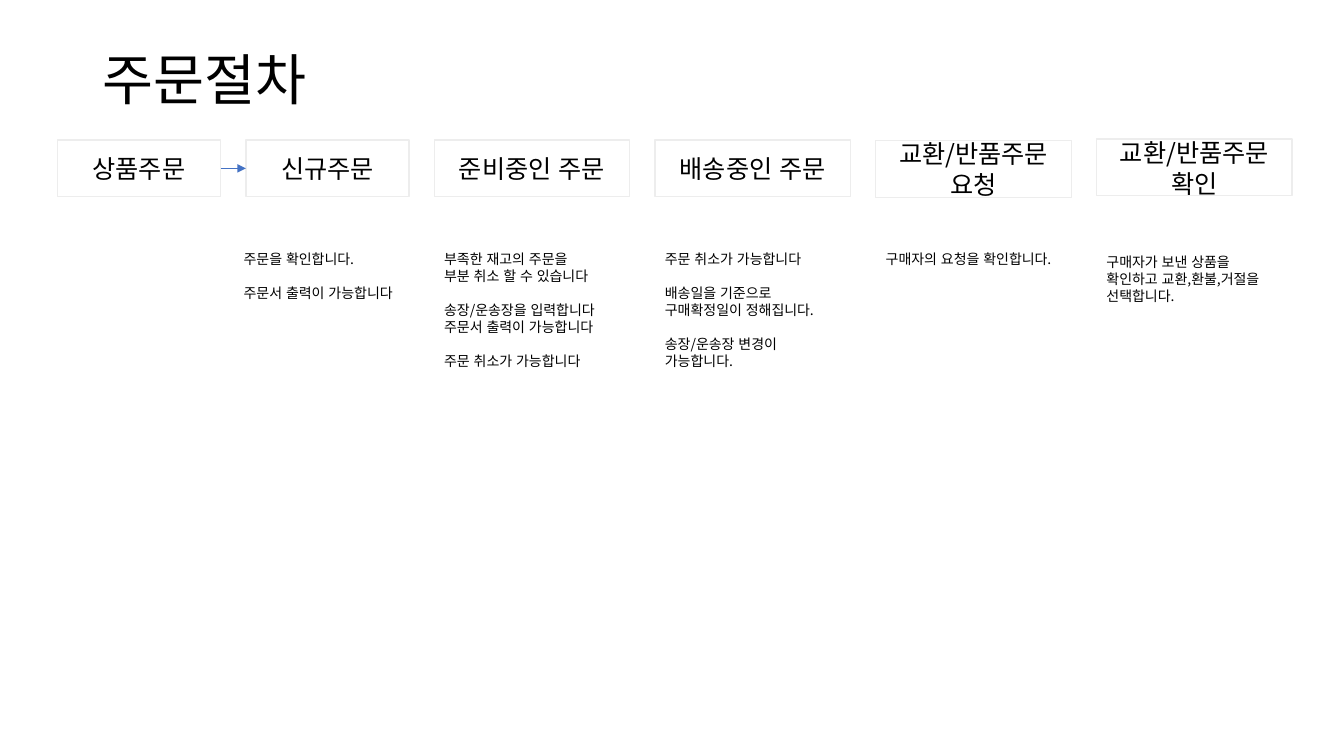
from dataclasses import dataclass

from lxml.etree import SubElement
from pptx import Presentation
from pptx.dml.color import RGBColor
from pptx.enum.lang import MSO_LANGUAGE_ID as Language
from pptx.enum.shapes import MSO_CONNECTOR as Connector, MSO_SHAPE as Preset
from pptx.enum.text import MSO_ANCHOR as Anchor, PP_ALIGN as Align
from pptx.oxml.ns import qn
from pptx.slide import Slide
from pptx.text.text import TextFrame
from pptx.util import Pt

BLACK = RGBColor(0x00, 0x00, 0x00)
WHITE = RGBColor(0xFF, 0xFF, 0xFF)
BORDER = RGBColor(0xED, 0xED, 0xED)
ARROW = RGBColor(0x44, 0x72, 0xC4)
FONT = "Noto Sans CJK KR"

FIRST_LEFT = 41
GAP = 18
NARROW, WIDE = 116.6, 139.7
STEP_TOP, STEP_HEIGHT = 100.1, 40.4
NOTE_TOP = 175
LINE_RATIO = 1.22


@dataclass(frozen=True)
class Step:
    """One stage; each group of notes is set apart from the one before it."""
    label: str
    width: float
    notes: tuple[tuple[str, ...], ...] = ()
    note_width: float = WIDE
    note_shift: float = 0
    note_drop: float = 0
    rise: float = 0


STEPS = (
    Step("상품주문", NARROW),
    Step("신규주문", NARROW,
         (("주문을 확인합니다.",), ("주문서 출력이 가능합니다",)),
         note_width=131.8, note_shift=-8.6),
    Step("준비중인 주문", WIDE,
         (("부족한 재고의 주문을", "부분 취소 할 수 있습니다"),
          ("송장/운송장을 입력합니다", "주문서 출력이 가능합니다"),
          ("주문 취소가 가능합니다",))),
    Step("배송중인 주문", WIDE,
         (("주문 취소가 가능합니다",),
          ("배송일을 기준으로 구매확정일이 정해집니다.",),
          ("송장/운송장 변경이 가능합니다.",))),
    Step("교환/반품주문 요청", WIDE, (("구매자의 요청을 확인합니다.",),), rise=-0.4),
    Step("교환/반품주문 확인", WIDE,
         (("구매자가 보낸 상품을 확인하고 교환,환불,거절을 선택합니다.",),),
         note_drop=2.2, rise=0.7),
)


def style_text(frame: TextFrame, size: float, align: Align = Align.LEFT) -> None:
    frame.word_wrap = True
    for paragraph in frame.paragraphs:
        paragraph.alignment = align
        paragraph.line_spacing = Pt(size * LINE_RATIO)
        for run in paragraph.runs:
            run.font.size = Pt(size)
            run.font.name = FONT
            run.font.color.rgb = BLACK
            run.font.language_id = Language.KOREAN
            SubElement(run.font._element, qn("a:ea"), typeface=FONT)


def add_title(slide: Slide, text: str) -> None:
    title = slide.shapes.add_textbox(Pt(66), Pt(29), Pt(373), Pt(53)).text_frame
    title.text = text
    title.vertical_anchor = Anchor.MIDDLE
    style_text(title, 39.6)


def add_step(slide: Slide, step: Step, left: float) -> None:
    box = slide.shapes.add_shape(Preset.RECTANGLE, Pt(left), Pt(STEP_TOP - step.rise),
                                 Pt(step.width), Pt(STEP_HEIGHT))
    box.shadow.inherit = False
    box.fill.solid()
    box.fill.fore_color.rgb = WHITE
    box.line.color.rgb = BORDER
    box.line.width = Pt(1)
    box.text_frame.text = step.label
    box.text_frame.vertical_anchor = Anchor.MIDDLE
    style_text(box.text_frame, 18, Align.CENTER)


def add_notes(slide: Slide, step: Step, left: float) -> None:
    size = 10
    lines = [line for group in step.notes for line in group]
    height = (len(lines) + len(step.notes)) * size * LINE_RATIO + 7.2
    notes = slide.shapes.add_textbox(Pt(left + step.note_shift), Pt(NOTE_TOP + step.note_drop),
                                     Pt(step.note_width), Pt(height)).text_frame
    notes.text = "\n".join(lines)
    style_text(notes, size)
    group_start = 0
    for group in step.notes[:-1]:
        group_start += len(group)
        notes.paragraphs[group_start].space_before = Pt(size * LINE_RATIO)


def add_arrow(slide: Slide, start: float, end: float, y: float) -> None:
    arrow = slide.shapes.add_connector(Connector.STRAIGHT, Pt(start), Pt(y), Pt(end), Pt(y))
    arrow.line.color.rgb = ARROW
    arrow.line.width = Pt(0.5)
    SubElement(arrow.line._get_or_add_ln(), qn("a:tailEnd"), type="triangle")
    SubElement(arrow._element.spPr, qn("a:effectLst"))


def main() -> None:
    deck = Presentation()
    deck.slide_width, deck.slide_height = Pt(960), Pt(540)
    slide = deck.slides.add_slide(deck.slide_layouts[6])
    add_title(slide, "주문절차")

    left = FIRST_LEFT
    for step in STEPS:
        add_step(slide, step, left)
        if step.notes:
            add_notes(slide, step, left)
        left += step.width + GAP

    first_right = FIRST_LEFT + STEPS[0].width
    add_arrow(slide, first_right, first_right + GAP, STEP_TOP + STEP_HEIGHT / 2)
    deck.save("out.pptx")


if __name__ == "__main__":
    main()
